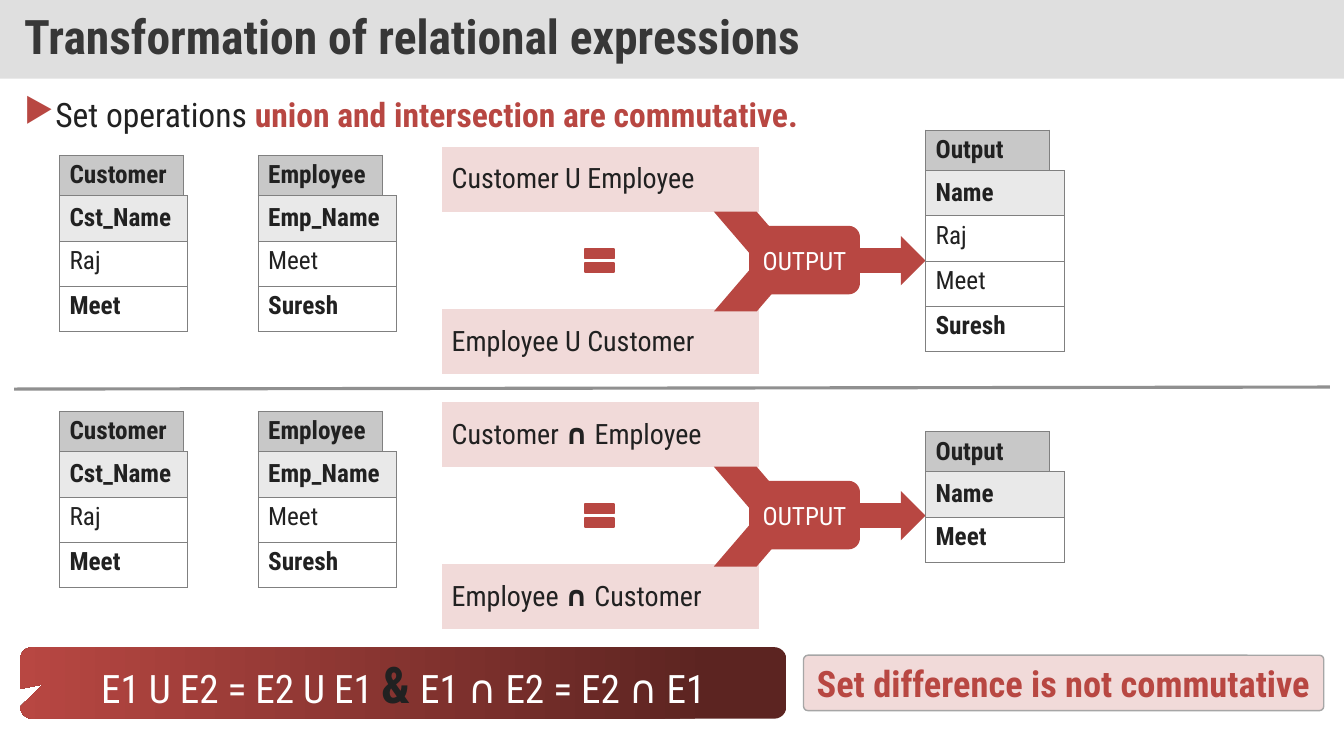
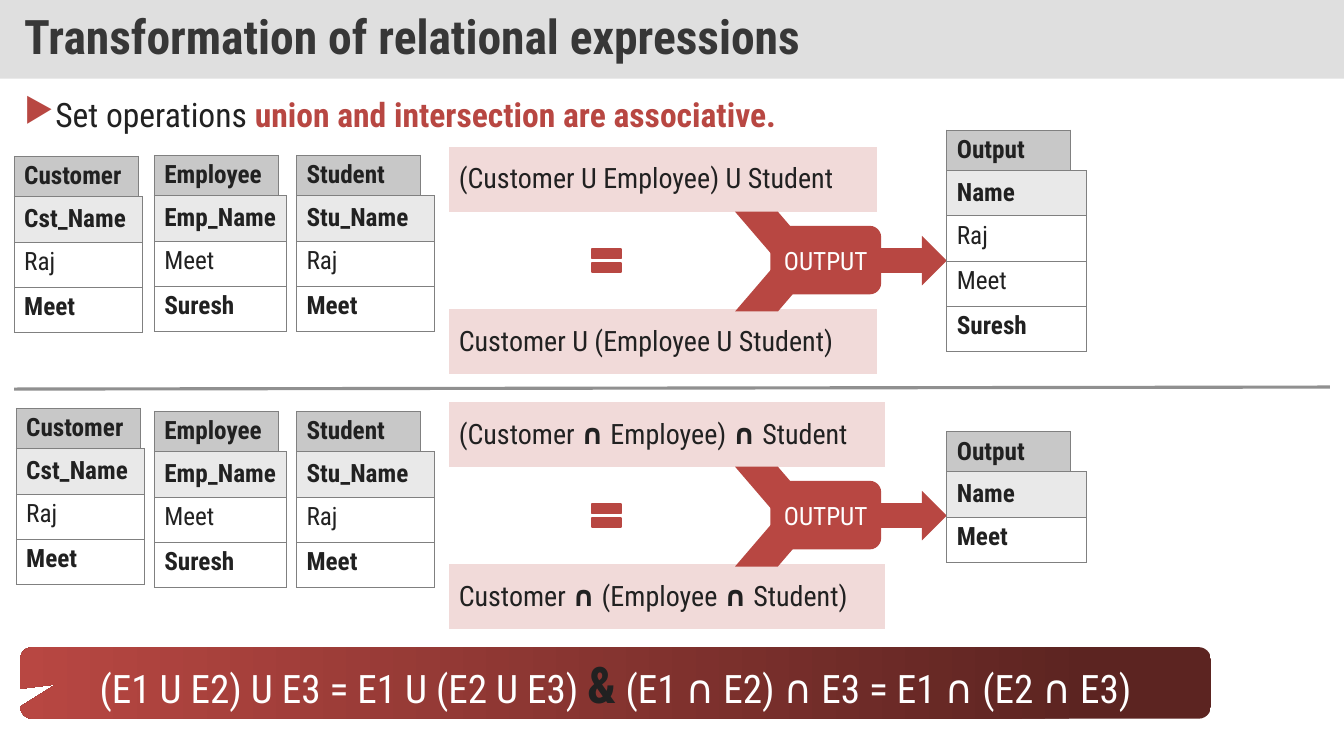
"""Build two slides on equivalence rules for set operations."""
from itertools import groupby

from lxml.etree import SubElement
from pptx import Presentation
from pptx.dml.color import RGBColor
from pptx.enum.shapes import MSO_CONNECTOR, MSO_SHAPE
from pptx.enum.text import MSO_ANCHOR, PP_ALIGN
from pptx.oxml.ns import qn
from pptx.util import Emu, Pt

COLORS = {
    "band": "DFDFDF", "title": "373737", "text": "212121", "accent": "B84742",
    "dark": "5C2421", "pale": "F1DAD9", "white": "FFFFFF", "caption": "C8C8C8",
    "header": "E9E9E9", "grid": "808080", "divider": "909090", "edge": "A6A6A6",
}
FONT = "Roboto Condensed"
EN_SPACE = " "
PLAIN_TABLE = "{2D5ABB26-0587-4C30-8999-92F81FD0307C}"
TITLE = "Transformation of relational expressions"
CAPTION_WIDTH, CAPTION_HEIGHT, ROW_HEIGHT = 123, 40, 45
EXPRESSION_HEIGHT, EXPRESSION_STEP = 64, 161

RELATIONS = {
    "Customer": ["Cst_Name", "Raj", "Meet"],
    "Employee": ["Emp_Name", "Meet", "Suresh"],
    "Student": ["Stu_Name", "Raj", "Meet"],
}
HALVES = [
    {"top": 146, "output_top": 129, "output": ["Name", "Raj", "Meet", "Suresh"]},
    {"top": 399, "output_top": 428, "output": ["Name", "Meet"]},
]
SLIDES = [
    {
        "property": "union and intersection are commutative.",
        "expression_left": 438, "output_left": 918,
        "inputs": [
            [("Customer", 59, 154, 127), ("Employee", 256, 154, 137)],
            [("Customer", 59, 408, 127), ("Employee", 256, 408, 137)],
        ],
        "expressions": [
            (315, ["Customer U Employee", "Employee U Customer"]),
            (315, ["Customer ∩ Employee", "Employee ∩ Customer"]),
        ],
        "rule_width": 760,
        "rules": ["E1 U E2 = E2 U E1 ", " E1 ∩ E2 = E2 ∩ E1"],
        "remark": "Set difference is not commutative",
    },
    {
        "property": "union and intersection are associative.",
        "expression_left": 445, "output_left": 939,
        "inputs": [
            [("Customer", 14, 155, 127), ("Employee", 153, 154, 131), ("Student", 294, 154, 137)],
            [("Customer", 16, 405, 127), ("Employee", 153, 408, 131), ("Student", 294, 408, 137)],
        ],
        "expressions": [
            (425, ["(Customer U Employee) U Student", "Customer U (Employee U Student)"]),
            (433, ["(Customer ∩ Employee) ∩ Student", "Customer ∩ (Employee ∩ Student)"]),
        ],
        "rule_width": 1181,
        "rules": ["(E1 U E2) U E3 = E1 U (E2 U E3) ", " (E1 ∩ E2) ∩ E3 = E1 ∩ (E2 ∩ E3)"],
        "remark": None,
    },
]


def px(length):
    """Turn a length on a grid of 100 px per inch into EMU."""
    return Emu(length * 9144)


def place(left, top, width, height):
    """Turn a frame in px into EMU."""
    return [px(length) for length in (left, top, width, height)]


def color(name):
    """Look up a named colour."""
    return RGBColor.from_string(COLORS[name])


def add_runs(para, runs):
    """Add runs given as text, size, colour name and bold."""
    for text, size, tint, bold in runs:
        span = para.add_run()
        span.text = text
        span.font.name = FONT
        span.font.size = Pt(size)
        span.font.bold = bold
        span.font.color.rgb = color(tint)


def add_block(page, kind, frame, fill=None, line=None, runs=(), align=PP_ALIGN.CENTER):
    """Add a preset shape with optional solid fill, outline and text."""
    block = page.shapes.add_shape(kind, *place(*frame))
    block.shadow.inherit = False
    if fill:
        block.fill.solid()
        block.fill.fore_color.rgb = color(fill)
    if line:
        block.line.color.rgb = color(line)
        block.line.width = Pt(1)
    else:
        block.line.fill.background()
    block.text_frame.word_wrap = True
    block.text_frame.vertical_anchor = MSO_ANCHOR.MIDDLE
    para = block.text_frame.paragraphs[0]
    para.alignment = align
    add_runs(para, runs)
    return block


def add_borders(cell):
    """Draw a thin grid line on each side of a cell."""
    properties = cell._tc.get_or_add_tcPr()
    for side in ("a:lnL", "a:lnR", "a:lnT", "a:lnB"):
        line = SubElement(properties, qn(side), w=str(Pt(0.5)))
        fill = SubElement(line, qn("a:solidFill"))
        SubElement(fill, qn("a:srgbClr"), val=COLORS["grid"])


def add_grid(page, left, top, width, height, rows, bordered=True):
    """Add a one-column table of rows given as runs, fill and anchor."""
    holder = page.shapes.add_table(len(rows), 1, *place(left, top, width, height * len(rows)))
    table = holder.table
    table.first_row = table.horz_banding = False
    for style in holder.element.iter(qn("a:tableStyleId")):
        style.text = PLAIN_TABLE
    for index, (runs, fill, anchor) in enumerate(rows):
        table.rows[index].height = px(height)
        cell = table.cell(index, 0)
        if bordered:
            add_borders(cell)
        cell.fill.solid()
        cell.fill.fore_color.rgb = color(fill)
        cell.vertical_anchor = anchor
        add_runs(cell.text_frame.paragraphs[0], runs)


def add_relation(page, name, left, top, width, values):
    """Add a relation: caption, header row and values, the last one bold."""
    rows = []
    for index, value in enumerate(values):
        is_header = index == 0
        bold = is_header or index == len(values) - 1
        rows.append(([(value, 18, "text", bold)], "header" if is_header else "white",
                     MSO_ANCHOR.MIDDLE if is_header else MSO_ANCHOR.TOP))
    add_grid(page, left, top + CAPTION_HEIGHT, width, ROW_HEIGHT, rows)
    caption = [([(name, 18, "text", True)], "caption", MSO_ANCHOR.MIDDLE)]
    add_grid(page, left, top, CAPTION_WIDTH, CAPTION_HEIGHT, caption)


def add_expression(page, left, top, width, text):
    """Add an expression on a pale strip with bold intersection signs."""
    spaced = text.replace(" ", EN_SPACE)
    runs = [("".join(group), 20, "text", bold)
            for bold, group in groupby(spaced, lambda letter: letter == "∩")]
    add_grid(page, left, top, width, EXPRESSION_HEIGHT,
             [(runs, "pale", MSO_ANCHOR.MIDDLE)], bordered=False)


def add_half(page, half, inputs, expressions, expression_left, output_left):
    """Add the inputs, two equal expressions and their output."""
    top = half["top"]
    for name, left, input_top, width in inputs:
        add_relation(page, name, left, input_top, width, RELATIONS[name])
    width, texts = expressions
    for index, text in enumerate(texts):
        add_expression(page, expression_left, top + index * EXPRESSION_STEP, width, text)
    add_block(page, MSO_SHAPE.MATH_EQUAL, (expression_left + 137, top + 93, 39, 39),
              "accent", "accent")
    add_block(page, MSO_SHAPE.CHEVRON, (output_left - 210, top + 64, 85, 99), "accent")
    add_block(page, MSO_SHAPE.ROUNDED_RECTANGLE, (output_left - 175, top + 78, 110, 68),
              "accent", runs=[("OUTPUT", 18, "white", False)])
    add_block(page, MSO_SHAPE.RIGHT_ARROW, (output_left - 76, top + 88, 76, 49), "accent")
    add_relation(page, "Output", output_left, half["output_top"], 138, half["output"])


def add_statement(page, statement):
    """Add the bulleted statement under the title."""
    box = page.shapes.add_textbox(*place(14, 93, 1305, 611))
    box.text_frame.word_wrap = True
    para = box.text_frame.paragraphs[0]
    para.alignment = PP_ALIGN.JUSTIFY
    para.line_spacing = 0.9
    para.space_before = Pt(10)
    properties = para._p.get_or_add_pPr()
    properties.set("marL", str(px(29)))
    properties.set("indent", str(px(-29)))
    tint = SubElement(properties, qn("a:buClr"))
    SubElement(tint, qn("a:srgbClr"), val=COLORS["accent"])
    SubElement(properties, qn("a:buChar"), char="▶")
    add_runs(para, [("Set operations ", 24, "text", False), (statement, 24, "accent", True)])


def add_frame(page):
    """Add the title band and the divider shared by the slides."""
    band = add_block(page, MSO_SHAPE.RECTANGLE, (0, 0, 1333, 78), "band",
                     runs=[(TITLE, 34, "title", True)], align=PP_ALIGN.LEFT)
    text = band.text_frame
    text.margin_left = text.margin_right = px(24)
    text.margin_top = text.margin_bottom = px(12)
    text.paragraphs[0].line_spacing = 0.9
    divider = page.shapes.add_connector(MSO_CONNECTOR.STRAIGHT, *place(14, 386, 1319, 384))
    divider.line.color.rgb = color("divider")
    divider.line.width = Pt(2.25)
    SubElement(divider.element.spPr, qn("a:effectLst"))


def add_rules(page, width, rules):
    """Add the gradient callout that sums up both rules."""
    union, intersection = [rule.replace(" = ", f"{EN_SPACE}={EN_SPACE}") for rule in rules]
    callout = add_block(
        page, MSO_SHAPE.ROUNDED_RECTANGULAR_CALLOUT, (20, 642, width, 71),
        runs=[(union, 28, "white", False), ("&", 36, "text", True),
              (intersection, 28, "white", False)])
    for index, value in enumerate((-0.47, 0.02, 0.17)):
        callout.adjustments[index] = value
    callout.fill.gradient()
    callout.fill.gradient_angle = 180
    for stop, position, tint in zip(callout.fill.gradient_stops, (0.1, 1), ("dark", "accent")):
        stop.position = position
        stop.color.rgb = color(tint)


def add_remark(page, remark):
    """Add the outlined remark beside the rules."""
    block = add_block(page, MSO_SHAPE.ROUNDED_RECTANGLE, (797, 650, 516, 55),
                      "pale", "edge", [(remark, 26, "accent", True)])
    block.adjustments[0] = 0.08


def main():
    """Build and save the deck."""
    deck = Presentation()
    deck.slide_width, deck.slide_height = px(1333), px(750)
    for content in SLIDES:
        page = deck.slides.add_slide(deck.slide_layouts[6])
        add_frame(page)
        add_statement(page, content["property"])
        for half, inputs, expressions in zip(HALVES, content["inputs"], content["expressions"]):
            add_half(page, half, inputs, expressions,
                     content["expression_left"], content["output_left"])
        add_rules(page, content["rule_width"], content["rules"])
        if content["remark"]:
            add_remark(page, content["remark"])
    deck.save("out.pptx")


if __name__ == "__main__":
    main()
